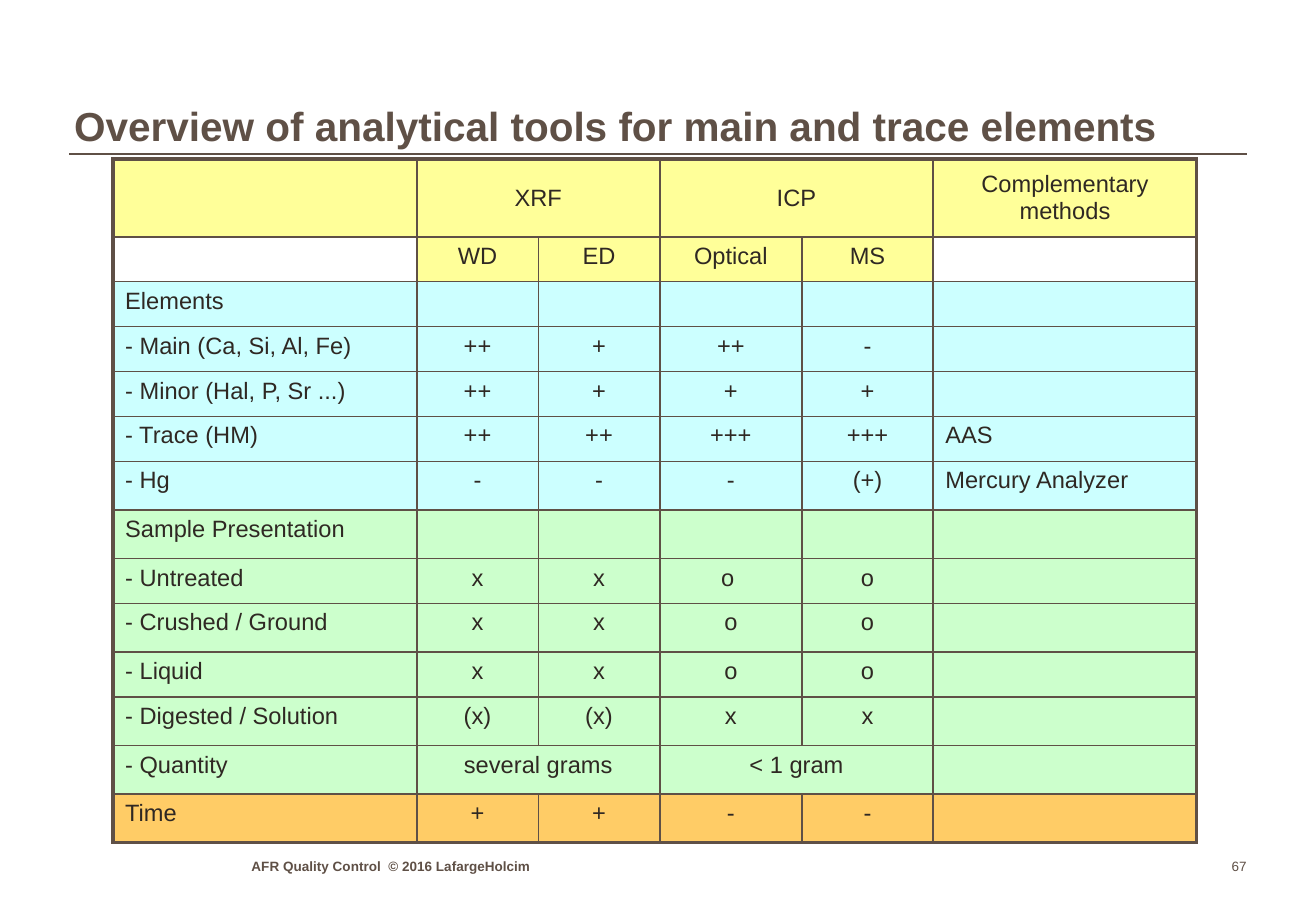
from typing import NamedTuple, Optional

from lxml.etree import SubElement
from pptx import Presentation
from pptx.dml.color import RGBColor
from pptx.enum.shapes import MSO_CONNECTOR
from pptx.enum.text import MSO_ANCHOR as Anchor, PP_ALIGN as Align
from pptx.oxml.ns import qn
from pptx.util import Inches, Pt

BROWN = RGBColor(0x5F, 0x50, 0x46)
DARK = RGBColor(0x2F, 0x28, 0x23)
YELLOW = RGBColor(0xFF, 0xFF, 0x99)
CYAN = RGBColor(0xCC, 0xFF, 0xFF)
GREEN = RGBColor(0xCC, 0xFF, 0xCC)
ORANGE = RGBColor(0xFF, 0xCC, 0x66)

FONT = "Arial"
CELL_SIZE = 14
THIN, THICK = 1, 2.25
COLUMN_WIDTHS = (2.5, 1, 1, 1.17, 1.08, 2.17)
METHOD_PAIRS = ((1, 2), (3, 4))


class MethodRow(NamedTuple):
    height: float
    fill: Optional[RGBColor]
    texts: tuple
    paired: bool = False


class Label(NamedTuple):
    text: str
    left: float
    top: float
    width: float
    height: float
    size: float
    bold: bool = True
    align: Align = Align.LEFT
    wrap: bool = True
    bottom_inset: float = 0
    line_spacing: float = 1


ROWS = (
    MethodRow(0.64, YELLOW, ("", "XRF", "", "ICP", "", "Complementary methods"), True),
    MethodRow(0.37, None, ("", "WD", "ED", "Optical", "MS", "")),
    MethodRow(0.37, CYAN, ("Elements", "", "", "", "", "")),
    MethodRow(0.37, CYAN, ("- Main (Ca, Si, Al, Fe)", "++", "+", "++", "-", "")),
    MethodRow(0.37, CYAN, ("- Minor (Hal, P, Sr ...)", "++", "+", "+", "+", "")),
    MethodRow(0.37, CYAN, ("- Trace (HM)", "++", "++", "+++", "+++", "AAS")),
    MethodRow(0.4, CYAN, ("- Hg", "-", "-", "-", "(+)", "Mercury Analyzer")),
    MethodRow(0.4, GREEN, ("Sample Presentation", "", "", "", "", "")),
    MethodRow(0.37, GREEN, ("- Untreated", "x", "x", "o ", "o", "")),
    MethodRow(0.4, GREEN, ("- Crushed / Ground", "x", "x", "o", "o", "")),
    MethodRow(0.37, GREEN, ("- Liquid", "x", "x", "o", "o", "")),
    MethodRow(0.4, GREEN, ("- Digested / Solution", "(x)", "(x)", "x", "x", "")),
    MethodRow(0.4, GREEN, ("- Quantity", "several grams", "", "< 1 gram", "", ""), True),
    MethodRow(0.4, ORANGE, ("Time", "+", "+", "-", "-", "")),
)

TITLE = Label("Overview of analytical tools for main and trace elements",
              0.61, 0.38, 9.6, 0.87, 24, bottom_inset=0.01, line_spacing=0.95)
FOOTER = Label("AFR Quality Control  © 2016 LafargeHolcim", 2.07, 7.02, 3.47, 0.18, 8)
PAGE_NUMBER = Label("67", 9.79, 7.02, 0.47, 0.18, 8, bold=False,
                    align=Align.RIGHT, wrap=False)


def set_font(paragraph, size: float, color: RGBColor, bold: bool) -> None:
    font = paragraph.font
    font.name, font.size, font.bold = FONT, Pt(size), bold
    font.color.rgb = color


def add_label(slide, label: Label) -> None:
    box = slide.shapes.add_textbox(Inches(label.left), Inches(label.top),
                                   Inches(label.width), Inches(label.height))
    frame = box.text_frame
    frame.word_wrap = label.wrap
    frame.vertical_anchor = Anchor.BOTTOM
    frame.margin_left = frame.margin_top = frame.margin_right = 0
    frame.margin_bottom = Inches(label.bottom_inset)
    paragraph = frame.paragraphs[0]
    paragraph.text = label.text
    paragraph.alignment = label.align
    paragraph.line_spacing = label.line_spacing
    set_font(paragraph, label.size, BROWN, label.bold)


def add_title_rule(slide) -> None:
    rule = slide.shapes.add_connector(MSO_CONNECTOR.STRAIGHT, Inches(0.57), Inches(1.27),
                                      Inches(10.26), Inches(1.27))
    rule.line.color.rgb = BROWN
    rule.line.width = Pt(THIN)
    SubElement(rule._element.spPr, qn("a:effectLst"))


def set_borders(cell, row: int, column: int) -> None:
    """Draw thin cell borders, thick where the cell meets the table's edge."""
    on_edge = {"lnL": column == 0, "lnR": column == len(COLUMN_WIDTHS) - 1,
               "lnT": row == 0, "lnB": row == len(ROWS) - 1}
    properties = cell._tc.get_or_add_tcPr()
    for side, thick in on_edge.items():
        line = SubElement(properties, qn(f"a:{side}"), w=str(Pt(THICK if thick else THIN)))
        fill = SubElement(line, qn("a:solidFill"))
        SubElement(fill, qn("a:srgbClr"), val=str(BROWN))


def fill_cell(cell, row: int, column: int) -> None:
    is_method = 0 < column < len(COLUMN_WIDTHS) - 1
    set_borders(cell, row, column)
    color = YELLOW if row == 1 and is_method else ROWS[row].fill
    if color is None:
        cell.fill.background()
    else:
        cell.fill.solid()
        cell.fill.fore_color.rgb = color
    cell.vertical_anchor = Anchor.MIDDLE if row == 0 else Anchor.TOP
    paragraph = cell.text_frame.paragraphs[0]
    text = ROWS[row].texts[column]
    if text:
        paragraph.text = text
    else:
        SubElement(paragraph._p, qn("a:endParaRPr"), sz=str(CELL_SIZE * 100))
    paragraph.alignment = Align.CENTER if row == 0 or is_method else Align.LEFT
    set_font(paragraph, CELL_SIZE, DARK, False)


def add_method_table(slide) -> None:
    frame = slide.shapes.add_table(
        len(ROWS), len(COLUMN_WIDTHS), Inches(0.93), Inches(1.31),
        Inches(sum(COLUMN_WIDTHS)), Inches(sum(row.height for row in ROWS)))
    table = frame.table
    table.first_row = table.horz_banding = False
    for column, width in zip(table.columns, COLUMN_WIDTHS):
        column.width = Inches(width)
    for row_index, row in enumerate(ROWS):
        table.rows[row_index].height = Inches(row.height)
        for column_index in range(len(COLUMN_WIDTHS)):
            fill_cell(table.cell(row_index, column_index), row_index, column_index)
        if row.paired:
            for first, last in METHOD_PAIRS:
                table.cell(row_index, first).merge(table.cell(row_index, last))


def main() -> None:
    presentation = Presentation()
    presentation.slide_width, presentation.slide_height = Inches(10.83), Inches(7.5)
    slide = presentation.slides.add_slide(presentation.slide_layouts[6])
    add_title_rule(slide)
    add_label(slide, TITLE)
    add_method_table(slide)
    add_label(slide, FOOTER)
    add_label(slide, PAGE_NUMBER)
    presentation.save("out.pptx")


if __name__ == "__main__":
    main()
